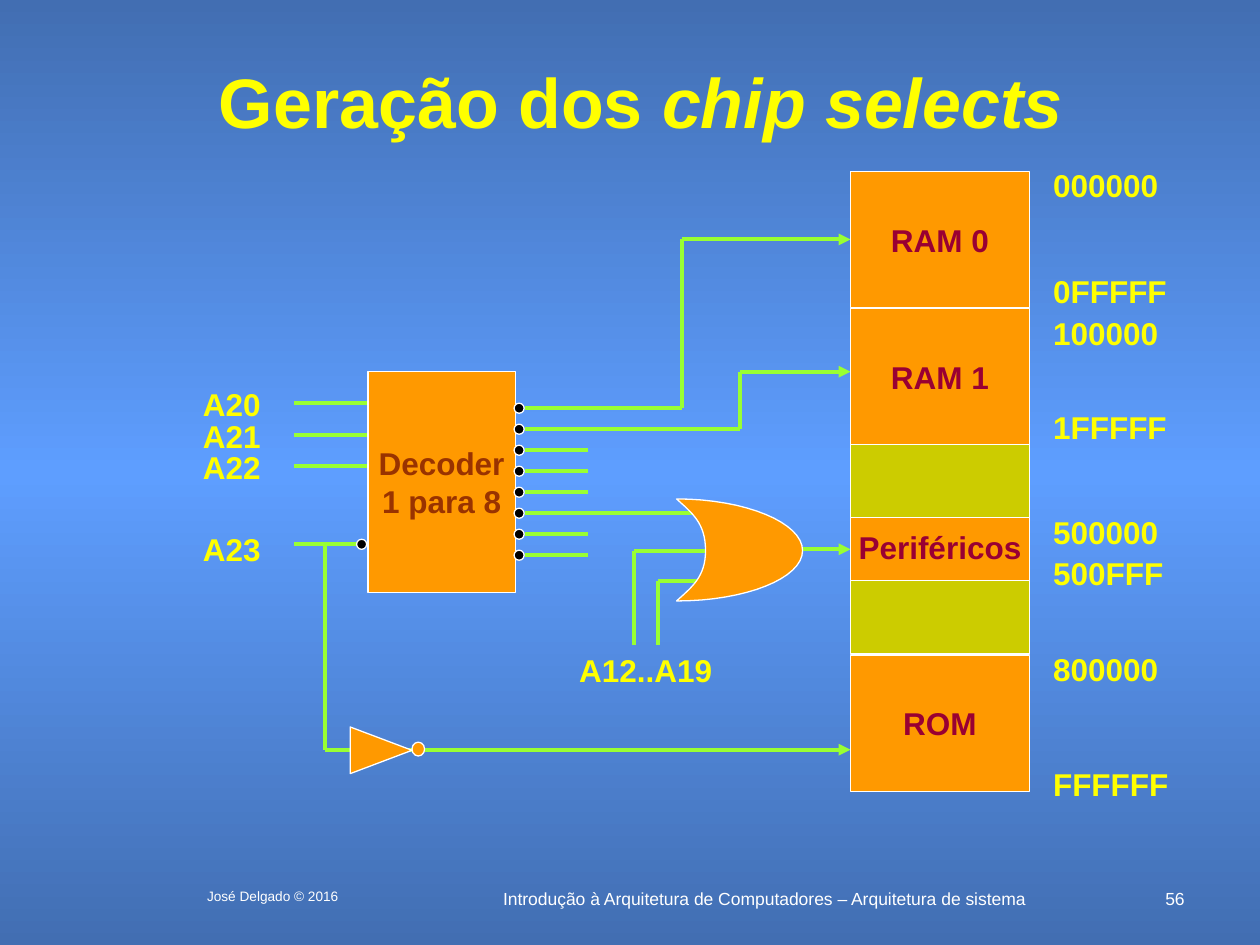
import copy
from dataclasses import dataclass

import pptx
import pptx.util
from pptx.dml.color import RGBColor
from pptx.enum.shapes import MSO_CONNECTOR, MSO_SHAPE
from pptx.enum.text import MSO_ANCHOR, MSO_AUTO_SIZE, PP_ALIGN
from pptx.oxml.ns import qn
from pptx.oxml.xmlchemy import OxmlElement
from pptx.util import Inches

YELLOW = RGBColor(0xFF, 0xFF, 0x00)
WHITE = RGBColor(0xFF, 0xFF, 0xFF)
BLACK = RGBColor(0x00, 0x00, 0x00)
ORANGE = RGBColor(0xFF, 0x99, 0x00)
OLIVE = RGBColor(0xCC, 0xCC, 0x00)
GREEN = RGBColor(0x99, 0xFF, 0x33)
CRIMSON = RGBColor(0x99, 0x00, 0x33)
BROWN = RGBColor(0x99, 0x33, 0x00)
BLUE_DARK = RGBColor(0x42, 0x6E, 0xB2)
BLUE_LIGHT = RGBColor(0x5E, 0x9E, 0xFF)

LEFT, CENTER, RIGHT = PP_ALIGN.LEFT, PP_ALIGN.CENTER, PP_ALIGN.RIGHT
MEMORY_LEFT, MEMORY_WIDTH = 6.75, 1.42
OUTPUT_YS = [3.24 + index / 6 for index in range(8)]


@dataclass
class Label:
    text: str
    left: float
    top: float
    width: float
    height: float = 0.4
    size: float = 18
    color: RGBColor = YELLOW
    bold: bool = True
    align: PP_ALIGN = LEFT
    wrap: bool = False


@dataclass
class Block:
    text: str
    left: float
    top: float
    width: float
    height: float
    fill: RGBColor = ORANGE
    color: RGBColor = CRIMSON


@dataclass
class Wire:
    points: list[tuple[float, float]]
    arrow: bool = False


def format_font(font, size: float, color: RGBColor, bold: bool) -> None:
    values = {"name": "Arial", "size": pptx.util.Pt(size), "bold": bold}
    for name, value in values.items():
        setattr(font, name, value)
    font.color.rgb = color


def style_shape(shape, fill: RGBColor) -> None:
    shape.shadow.inherit = False
    shape.fill.solid()
    shape.fill.fore_color.rgb = fill
    shape.line.color.rgb = WHITE
    shape.line.width = pptx.util.Pt(0.75)


def add_shape(slide, kind: MSO_SHAPE, left: float, top: float,
              width: float, height: float, fill: RGBColor):
    shape = slide.shapes.add_shape(
        kind, Inches(left), Inches(top), Inches(width), Inches(height))
    style_shape(shape, fill)
    return shape


def add_label(slide, label: Label):
    box = slide.shapes.add_textbox(Inches(label.left), Inches(label.top),
                                   Inches(label.width), Inches(label.height))
    frame = box.text_frame
    frame.word_wrap = label.wrap
    if not label.wrap:
        frame.auto_size = MSO_AUTO_SIZE.SHAPE_TO_FIT_TEXT
    paragraph = frame.paragraphs[0]
    paragraph.alignment = label.align
    run = paragraph.add_run()
    run.text = label.text
    format_font(run.font, label.size, label.color, label.bold)
    return box


def add_block(slide, block: Block) -> None:
    shape = add_shape(slide, MSO_SHAPE.RECTANGLE, block.left, block.top,
                      block.width, block.height, block.fill)
    if not block.text:
        return
    frame = shape.text_frame
    frame.text = block.text
    frame.word_wrap = False
    frame.vertical_anchor = MSO_ANCHOR.MIDDLE
    for paragraph in frame.paragraphs:
        paragraph.alignment = CENTER
        for run in paragraph.runs:
            format_font(run.font, 18, block.color, True)


def add_wire(slide, wire: Wire) -> None:
    for start, end in zip(wire.points, wire.points[1:]):
        line = slide.shapes.add_connector(
            MSO_CONNECTOR.STRAIGHT, *(Inches(value) for value in start + end))
        line.line.color.rgb = GREEN
        line.line.width = pptx.util.Pt(2.25)
        if wire.arrow and end == wire.points[-1]:
            head = OxmlElement("a:tailEnd")
            head.set("type", "triangle")
            line.line._get_or_add_ln().append(head)
        line._element.spPr.append(OxmlElement("a:effectLst"))


def curve(p0, p1, p2, p3, steps: int = 16) -> list[tuple[float, float]]:
    """Points of a cubic Bézier curve after its start."""
    return [tuple((1 - t) ** 3 * a + 3 * (1 - t) ** 2 * t * b
                  + 3 * (1 - t) * t ** 2 * c + t ** 3 * d
                  for a, b, c, d in zip(p0, p1, p2, p3))
            for t in (step / steps for step in range(1, steps + 1))]


def add_or_gate(slide) -> None:
    bottom, notch, top, tip = (5.37, 4.77), (5.6, 4.37), (5.37, 3.96), (6.37, 4.37)
    outline = (curve(bottom, (5.49, 4.66), (5.6, 4.58), notch)
               + curve(notch, (5.6, 4.15), (5.49, 4.07), top)
               + curve(top, (5.92, 3.96), (6.37, 4.15), tip)
               + curve(tip, (6.37, 4.59), (5.92, 4.77), bottom))
    builder = slide.shapes.build_freeform(*(Inches(value) for value in bottom))
    builder.add_line_segments([(Inches(x), Inches(y)) for x, y in outline], close=True)
    style_shape(builder.convert_to_shape(), ORANGE)


def paint_background(slide) -> None:
    fill = slide.background.fill
    fill.gradient()
    fill.gradient_angle = 90
    stop_list = next(slide.element.iter(qn("a:gsLst")))
    stop_list.append(copy.deepcopy(stop_list[-1]))
    colors = (BLUE_DARK, BLUE_LIGHT, BLUE_DARK)
    for index, (stop, color) in enumerate(zip(fill.gradient_stops, colors)):
        stop.position = index / 2
        stop.color.rgb = color


def main() -> None:
    presentation = pptx.Presentation()
    presentation.slide_width, presentation.slide_height = Inches(10), Inches(7.5)
    slide = presentation.slides.add_slide(presentation.slide_layouts[6])
    paint_background(slide)

    # Title and footer
    title = add_label(slide, Label("Geração dos ", 0.75, 0.42, 8.67, 0.75, 40,
                                   align=CENTER, wrap=True))
    title.text_frame.vertical_anchor = MSO_ANCHOR.MIDDLE
    emphasis = title.text_frame.paragraphs[0].add_run()
    emphasis.text = "chip selects"
    format_font(emphasis.font, 40, YELLOW, True)
    emphasis.font.italic = True
    for text, left, width, height, size, align in (
            ("Introdução à Arquitetura de Computadores – Arquitetura de sistema",
             3.33, 5.47, 0.25, 10, CENTER),
            ("56", 9.08, 0.42, 0.17, 10, RIGHT),
            ("José Delgado © 2016", 1.33, 1.67, 0.25, 7.8, CENTER)):
        add_label(slide, Label(text, left, 7, width, height, size, WHITE, False, align, True))

    # Wires: address inputs, decoder outputs, chip selects, gate inputs
    wires = [Wire([(2.92, y), (2.33, y)]) for y in (3.2, 3.45, 3.7)]
    wires += [Wire([(4.17, y), (4.67, y)]) for y in OUTPUT_YS]
    ram0_y, ram1_y, gate_y = OUTPUT_YS[0], OUTPUT_YS[1], OUTPUT_YS[5]
    wires += [
        Wire([(2.83, 4.32), (2.33, 4.32)]),
        Wire([(2.58, 4.32), (2.58, 5.95), (MEMORY_LEFT, 5.95)], True),
        Wire([(4.67, ram0_y), (5.41, ram0_y), (5.41, 1.9), (MEMORY_LEFT, 1.9)], True),
        Wire([(4.62, ram1_y), (5.87, ram1_y), (5.87, 2.95), (MEMORY_LEFT, 2.95)], True),
        Wire([(4.67, gate_y), (5.87, gate_y), (5.87, 4.36), (MEMORY_LEFT, 4.36)], True),
        Wire([(5.64, 4.61), (5.22, 4.61), (5.22, 5.12)]),
        Wire([(5.64, 4.37), (5.03, 4.37), (5.03, 5.12)]),
    ]
    for wire in wires:
        add_wire(slide, wire)

    # Memory map and decoder
    for text, top, height, fill in (
            ("ROM", 5.2, 1.08, ORANGE), ("", 4.61, 0.58, OLIVE),
            ("Periféricos", 4.07, 0.54, ORANGE), ("RAM 1", 2.45, 1.08, ORANGE),
            ("RAM 0", 1.36, 1.08, ORANGE), ("", 3.53, 0.58, OLIVE)):
        add_block(slide, Block(text, MEMORY_LEFT, top, MEMORY_WIDTH, height, fill))
    add_block(slide, Block("Decoder\n1 para 8", 2.92, 2.95, 1.17, 1.75, color=BROWN))

    # Negation dots, inverter and OR gate
    for left, middle in [(4.08, y) for y in OUTPUT_YS] + [(2.83, 4.32)]:
        add_shape(slide, MSO_SHAPE.OVAL, left, middle - 0.04, 0.08, 0.08, BLACK)
    inverter = add_shape(slide, MSO_SHAPE.ISOSCELES_TRIANGLE, 2.84, 5.71, 0.37, 0.49, ORANGE)
    inverter.rotation = 90
    add_shape(slide, MSO_SHAPE.OVAL, 3.27, 5.89, 0.1, 0.11, ORANGE)
    add_or_gate(slide)

    # Address lines and memory addresses
    for text, top in (("A20", 3.01), ("A21", 3.26), ("A22", 3.51), ("A23", 4.16)):
        add_label(slide, Label(text, 1.51, top, 0.66, align=CENTER))
    add_label(slide, Label("A12..A19", 4.49, 5.12, 1.27, align=CENTER))
    for text, top, width in (
            ("000000", 1.27, 1.05), ("0FFFFF", 2.11, 1.12), ("100000", 2.44, 1.05),
            ("1FFFFF", 3.19, 1.12), ("500000", 4.02, 1.05), ("500FFF", 4.35, 1.09),
            ("800000", 5.11, 1.05), ("FFFFFF", 6.02, 1.13)):
        add_label(slide, Label(text, 8.26, top, width))

    presentation.save("out.pptx")


if __name__ == "__main__":
    main()
